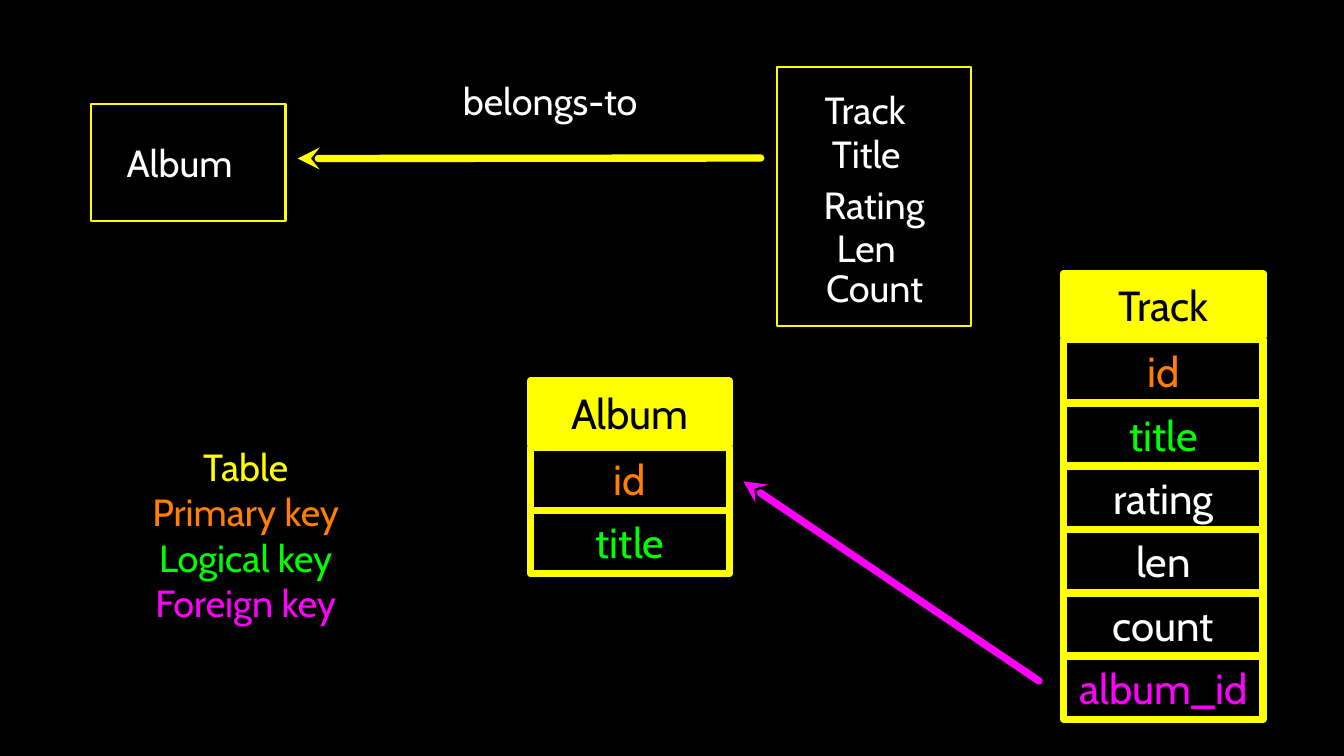
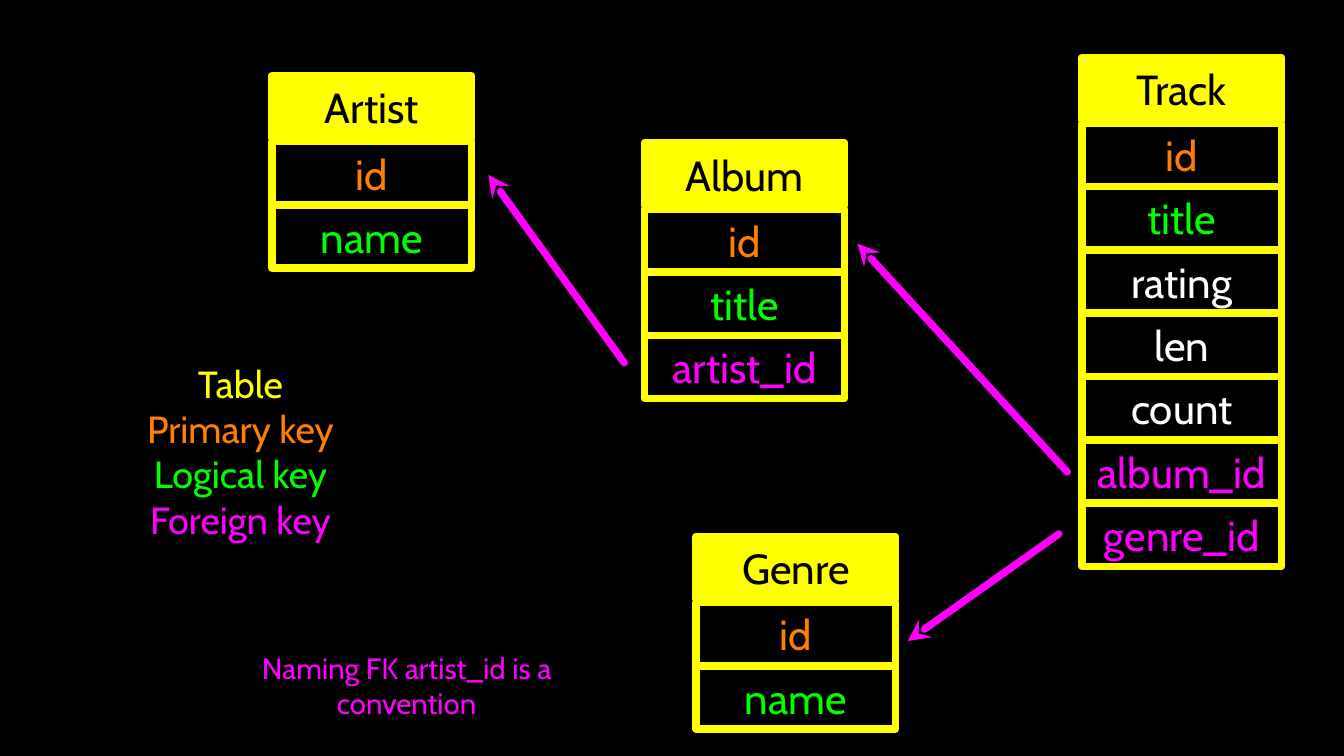
"""Build two slides that turn a music data model into linked database tables."""
from dataclasses import dataclass

from lxml import etree
from pptx import Presentation
from pptx import util as u
from pptx.dml.color import RGBColor
from pptx.enum import shapes, text
from pptx.oxml.ns import qn


@dataclass(frozen=True)
class Theme:
    font: str = "Cabin"
    background: str = "000000"
    plain: str = "FFFFFF"
    table: str = "FFFF00"
    primary: str = "FF7F00"
    logical: str = "00FF00"
    foreign: str = "FF00FF"
    cell_size: int = 40
    label_size: int = 36
    note_size: int = 28
    thick: int = 7
    thin: int = 2


theme = Theme()
CELL_WIDTH, CELL_HEIGHT = 190, 60
FIRST_ROW, ROW_PITCH = 63, 60.3
LEGEND_SIZE = (182, 172)
LEGEND = [("Table", theme.table), ("Primary key", theme.primary),
          ("Logical key", theme.logical), ("Foreign key", theme.foreign)]
FIELD_COLOURS = {"id": theme.primary, "title": theme.logical, "name": theme.logical,
                 "album_id": theme.foreign, "artist_id": theme.foreign, "genre_id": theme.foreign}
TRACK_FIELDS = ["id", "title", "rating", "len", "count", "album_id"]

SLIDES = [
    {
        "legend": (143, 423),
        "tables": [("Album", 505, 363, ["id", "title"]),
                   ("Track", 1013, 260.5, TRACK_FIELDS)],
        "entities": [(87, 99.5, 185, 111), (740, 63.5, 185, 247)],
        "arrows": [((283.5, 151), (724.5, 150.5), theme.table),
                   ((708, 458.5), (989.5, 648.5), theme.foreign)],
        "labels": [("Album", (116.5, 130.5, 125, 49), 16, theme.label_size, theme.plain),
                   ("belongs-to", (424, 71.5, 200, 49), 0, theme.label_size, theme.plain),
                   ("Track", (777.5, 80, 109, 49), 16, theme.label_size, theme.plain),
                   ("Title", (785, 121.5, 96, 49), 16, theme.label_size, theme.plain),
                   ("Rating", (782.5, 170, 100, 49), 0, theme.label_size, theme.plain),
                   ("Len", (792, 211.5, 82, 49), 16, theme.label_size, theme.plain),
                   ("Count", (782, 249, 102, 49), 0, theme.label_size, theme.plain)],
    },
    {
        "legend": (138, 343.5),
        "tables": [("Artist", 259, 72, ["id", "name"]),
                   ("Album", 614, 136, ["id", "title", "artist_id"]),
                   ("Track", 1030.5, 54.5, TRACK_FIELDS + ["genre_id"]),
                   ("Genre", 663, 511, ["id", "name"])],
        "entities": [],
        "arrows": [((816.5, 232), (1016.5, 449.5), theme.foreign),
                   ((864.5, 610.5), (1008.5, 508.5), theme.foreign),
                   ((465, 166.5), (594.5, 345.5), theme.foreign)],
        "labels": [("Naming FK artist_id is a convention", (211.5, 616.5, 351.5, 72), 0,
                    theme.note_size, theme.foreign)],
    },
]


def points(values):
    return [u.Pt(value) for value in values]


def write_text(shape, lines, size, right_margin=0):
    frame = shape.text_frame
    frame.text = "\n".join(line for line, colour in lines)
    frame.word_wrap = True
    frame.auto_size = text.MSO_AUTO_SIZE.NONE
    frame.vertical_anchor = text.MSO_ANCHOR.MIDDLE
    frame.margin_left = frame.margin_top = frame.margin_bottom = 0
    frame.margin_right = u.Pt(right_margin)
    for paragraph, (line, colour) in zip(frame.paragraphs, lines):
        paragraph.alignment = text.PP_ALIGN.CENTER
        paragraph.space_before = u.Pt(0)
        font = paragraph.runs[0].font
        font.name, font.size = theme.font, u.Pt(size)
        font.color.rgb = RGBColor.from_string(colour)


presentation = Presentation()
presentation.slide_width, presentation.slide_height = points((1280, 720))
background = presentation.slide_master.background.fill
background.solid()
background.fore_color.rgb = RGBColor.from_string(theme.background)

for content in SLIDES:
    slide = presentation.slides.add_slide(presentation.slide_layouts[1])
    title = slide.shapes.title.element
    title.getparent().remove(title)

    legend = slide.placeholders[1]
    legend.left, legend.top, legend.width, legend.height = points(content["legend"] + LEGEND_SIZE)
    write_text(legend, LEGEND, theme.label_size)
    for paragraph in legend.text_frame.paragraphs:
        properties = paragraph._p.get_or_add_pPr()
        properties.set("marL", "0")
        properties.set("indent", "0")
        etree.SubElement(properties, qn("a:buNone"))

    boxes = [(box, None, None, theme.thin) for box in content["entities"]]
    for name, left, top, fields in content["tables"]:
        boxes.append(((left, top, CELL_WIDTH, CELL_HEIGHT), name, theme.background, theme.thick))
        for row, field in enumerate(fields):
            row_top = top + FIRST_ROW + row * ROW_PITCH
            boxes.append(((left, row_top, CELL_WIDTH, CELL_HEIGHT), field,
                          FIELD_COLOURS.get(field, theme.plain), theme.thick))

    for box, caption, colour, line_width in boxes:
        shape = slide.shapes.add_shape(shapes.MSO_SHAPE.RECTANGLE, *points(box))
        shape.shadow.inherit = False
        shape.line.color.rgb = RGBColor.from_string(theme.table)
        shape.line.width = u.Pt(line_width)
        if colour == theme.background:
            shape.fill.solid()
            shape.fill.fore_color.rgb = RGBColor.from_string(theme.table)
        else:
            shape.fill.background()
        if caption:
            write_text(shape, [(caption, colour)], theme.cell_size)

    for tip, start, colour in content["arrows"]:
        arrow = slide.shapes.add_connector(shapes.MSO_CONNECTOR.STRAIGHT, *points(tip + start))
        arrow.line.color.rgb = RGBColor.from_string(colour)
        arrow.line.width = u.Pt(theme.thick)
        outline = arrow.line._get_or_add_ln()
        outline.set("cap", "rnd")
        etree.SubElement(outline, qn("a:headEnd"), type="stealth")
        etree.SubElement(arrow._element.spPr, qn("a:effectLst"))

    for caption, box, right_margin, size, colour in content["labels"]:
        label = slide.shapes.add_textbox(*points(box))
        write_text(label, [(caption, colour)], size, right_margin)

presentation.save("out.pptx")
